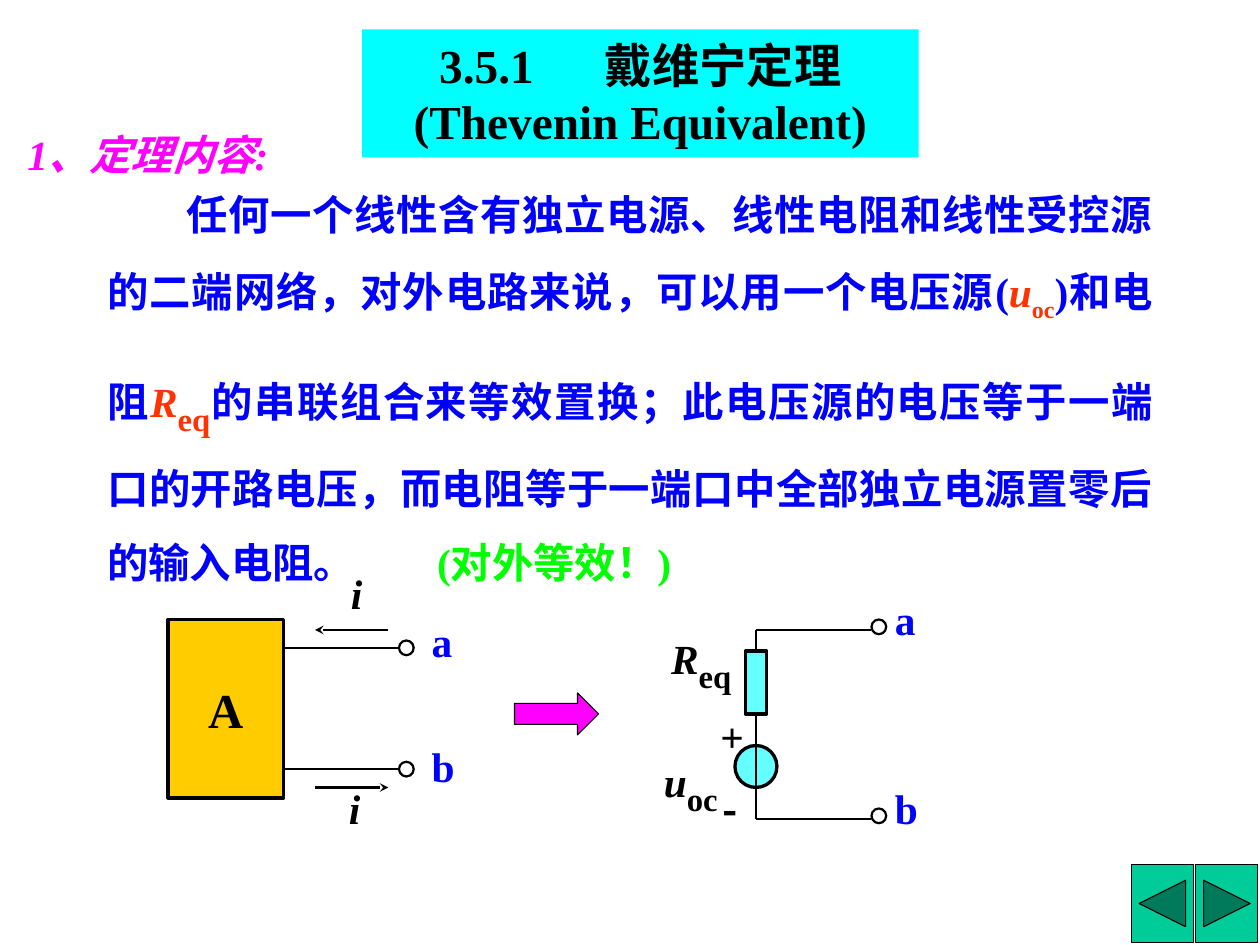
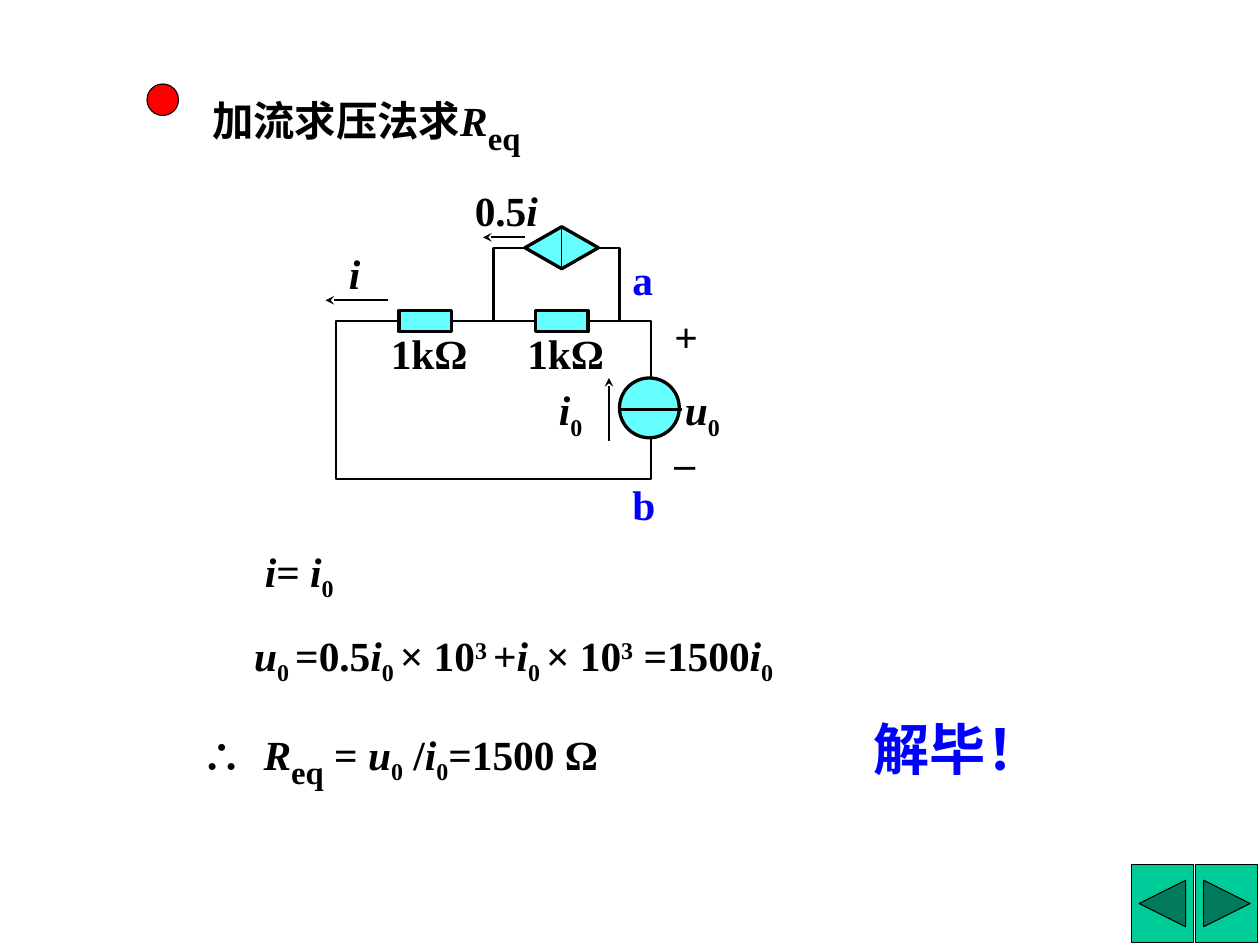
from lxml.etree import SubElement
from pptx import Presentation
from pptx.dml.color import RGBColor
from pptx.enum.shapes import MSO_CONNECTOR, MSO_SHAPE as SHAPE
from pptx.enum.text import MSO_ANCHOR as ANCHOR, MSO_AUTO_SIZE, PP_ALIGN as ALIGN
from pptx.oxml.ns import qn
from pptx.util import Inches, Pt

WIDTH, HEIGHT = 11.84, 8.88
COLUMNS, ROWS = 120, 90
LATIN, CHINESE = "Times New Roman", "Noto Sans CJK SC"
BLACK, BLUE, RED, GREEN = "000000", "0000FF", "FF3300", "00FF00"
MAGENTA, CYAN, AQUA, GOLD = "FF00FF", "00FFFF", "66FFFF", "FFCC00"
TEAL, DOT_RED = "00CC99", "FF0000"
THIN, WIRE, THICK = 0.75, 1.5, 2.25


def color(hex_code):
    return RGBColor.from_string(hex_code)


def col(n):
    return Inches(WIDTH * n / COLUMNS)


def row(n):
    return Inches(HEIGHT * n / ROWS)


def box(x, y, w, h):
    return col(x), row(y), col(w), row(h)


# Pieces of formulas: each is a (text, format) pair
def var(name, **style):
    return name, dict(italic=True, **style)


def sub(text, **style):
    return text, dict(base=-25, **style)


def sup(text):
    return text, dict(base=30)


def gap(points):
    return " ", dict(spacing=points)


EQ = sub("eq", size=38)


def add_run(paragraph, text, size=28, ink=BLACK, italic=False, base=0,
            spacing=0, latin=LATIN):
    run = paragraph.add_run()
    run.text = text
    font = run.font
    font.size, font.bold, font.italic = Pt(size), True, italic
    font.name = latin
    font.color.rgb = color(ink)
    props = run._r.get_or_add_rPr()
    SubElement(props, qn("a:ea")).set("typeface", CHINESE)
    if base:
        props.set("baseline", str(base * 1000))
    if spacing:
        props.set("spc", str(spacing * 100))


def write(frame, *pieces, align=ALIGN.LEFT, anchor=ANCHOR.TOP, leading=1.0,
          indent=0, **style):
    frame.word_wrap = True
    frame.auto_size = MSO_AUTO_SIZE.NONE
    frame.vertical_anchor = anchor
    frame.margin_left = frame.margin_right = Inches(0.12)
    frame.margin_top = frame.margin_bottom = Inches(0.06)
    paragraph = frame.paragraphs[0]
    paragraph.alignment = align
    paragraph.line_spacing = leading
    paragraph.space_before = Pt(0)
    if indent:
        paragraph._p.get_or_add_pPr().set("indent", str(col(indent)))
    for piece in pieces:
        text, own = (piece, {}) if isinstance(piece, str) else piece
        add_run(paragraph, text, **{**style, **own})


class Deck:
    def __init__(self):
        self.show = Presentation()
        self.show.slide_width = Inches(WIDTH)
        self.show.slide_height = Inches(HEIGHT)
        self.slide = None

    def new_slide(self, *title, at, fill=None, **style):
        self.slide = self.show.slides.add_slide(self.show.slide_layouts[5])
        heading = self.slide.shapes.title
        heading.left, heading.top, heading.width, heading.height = box(*at)
        if fill:
            heading.fill.solid()
            heading.fill.fore_color.rgb = color(fill)
        write(heading.text_frame, *title, **style)
        # Navigation buttons in the lower right corner
        for x, kind in ((107.75, SHAPE.ACTION_BUTTON_BACK_OR_PREVIOUS),
                        (113.9, SHAPE.ACTION_BUTTON_FORWARD_OR_NEXT)):
            self.shape(kind, x, 82.3, 5.9, 7.5, TEAL, THIN)

    def shape(self, kind, x, y, w, h, fill=None, weight=THICK):
        part = self.slide.shapes.add_shape(kind, *box(x, y, w, h))
        part.shadow.inherit = False
        if fill:
            part.fill.solid()
            part.fill.fore_color.rgb = color(fill)
        else:
            part.fill.background()
        part.line.color.rgb = color(BLACK)
        part.line.width = Pt(weight)
        return part

    def terminal(self, x, y):
        self.shape(SHAPE.OVAL, x, y, 1.4, 1.4, weight=WIRE)

    def text(self, x, y, *pieces, w=11, h=6, **style):
        area = self.slide.shapes.add_textbox(*box(x, y, w, h))
        write(area.text_frame, *pieces, **style)

    def line(self, x1, y1, x2, y2, weight=WIRE, arrow=False, begin=None, end=None):
        wire = self.slide.shapes.add_connector(
            MSO_CONNECTOR.STRAIGHT, col(x1), row(y1), col(x2), row(y2))
        wire.line.color.rgb = color(BLACK)
        wire.line.width = Pt(weight)
        if arrow:
            SubElement(wire.line._get_or_add_ln(), qn("a:tailEnd")).set("type", "stealth")
        SubElement(wire._element.spPr, qn("a:effectLst"))
        if begin:
            wire.begin_connect(*begin)
        if end:
            wire.end_connect(*end)


def theorem_slide(deck):
    deck.new_slide("3.5.1", gap(40), "戴维宁定理(Thevenin Equivalent)",
                   at=(34.5, 2.8, 53, 12.2), fill=CYAN, size=32, align=ALIGN.CENTER)

    # Statement of the theorem
    deck.text(1.4, 11.65, "1、定理内容:", w=33, ink=MAGENTA, italic=True)
    deck.text(
        9, 15,
        "任何一个线性含有独立电源、线性电阻和线性受控源的二端网络，"
        "对外电路来说，可以用一个电压源(",
        var("u", ink=RED), sub("oc", ink=RED), ")和电阻",
        var("R", ink=RED), sub("eq", size=38, ink=RED),
        "的串联组合来等效置换；此电压源的电压等于一端口的开路电压，"
        "而电阻等于一端口中全部独立电源置零后的输入电阻。",
        gap(49), ("(对外等效！)", dict(ink=GREEN)),
        w=102, h=36.7, ink=BLUE, align=ALIGN.JUSTIFY, leading=1.5, indent=7.5)

    # Two-terminal network A
    network = deck.shape(SHAPE.RECTANGLE, 16, 59, 11, 17, GOLD)
    write(network.text_frame, "A", size=33, align=ALIGN.CENTER, anchor=ANCHOR.MIDDLE)
    for name, wire_y, label_y in (("a", 61.7, 58.1), ("b", 73.25, 70)):
        deck.line(27, wire_y, 38, wire_y)
        deck.terminal(38, wire_y - 0.7)
        deck.text(39.9, label_y, name, ink=BLUE)
    deck.line(37, 60, 30, 60, arrow=True)
    deck.line(30, 75, 37, 75, arrow=True)
    deck.text(32.2, 53.5, var("i"))
    deck.text(32, 74, var("i"))

    deck.shape(SHAPE.RIGHT_ARROW, 49, 66, 8, 4, MAGENTA, THIN)

    # Equivalent circuit
    resistor = deck.shape(SHAPE.RECTANGLE, 71, 62, 2, 6, AQUA)
    deck.shape(SHAPE.OVAL, 70, 71, 4, 4, AQUA)
    deck.line(72, 60, 72, 62, end=(resistor, 0))
    deck.line(72, 68, 72, 78, begin=(resistor, 2))
    for name, wire_y in (("a", 60), ("b", 78)):
        deck.line(72, wire_y, 83, wire_y)
        deck.terminal(83, wire_y - 1)
        deck.text(84, wire_y - 4, name, ink=BLUE)
    deck.text(62.7, 58.3, var("R"), EQ, h=7.6)
    deck.text(62, 70, var("u"), sub("oc", size=38), h=7.6)
    deck.text(67.4, 67.1, "+")
    deck.text(67.6, 74.1, "-", latin=CHINESE)


def resistance_slide(deck):
    deck.new_slide("加流求压法求", var("R"), EQ, at=(19, 7, 35, 6))
    deck.shape(SHAPE.OVAL, 14, 8, 3, 3, DOT_RED, THIN)

    # Wire loops and resistors
    deck.shape(SHAPE.RECTANGLE, 47, 23.6, 12, 7, weight=WIRE)
    deck.shape(SHAPE.RECTANGLE, 32, 30.6, 30, 15, weight=WIRE)
    deck.line(32, 35.6, 32, 41.6)
    for x in (38, 51):
        deck.shape(SHAPE.RECTANGLE, x, 29.6, 5, 2, AQUA)
        deck.text(x - 2, 30.6, "1kΩ")

    # Controlled source and test source
    controlled = deck.shape(SHAPE.DIAMOND, 50, 21.6, 7, 4, AQUA)
    deck.line(53.5, 21.6, 53.5, 25.6, THIN, begin=(controlled, 0), end=(controlled, 2))
    deck.shape(SHAPE.OVAL, 59, 36, 5.7, 5.7, AQUA)
    deck.line(59, 39, 65, 39)

    # Current arrows
    for ends in ((50, 22.6, 46, 22.6), (37, 28.6, 31, 28.6), (58, 42, 58, 36)):
        deck.line(*ends, arrow=True)

    # Circuit labels
    deck.text(44, 17, "0.5", var("i"))
    deck.text(32, 23, var("i"))
    deck.text(52, 36, var("i"), sub("0"))
    deck.text(64, 36, var("u"), sub("0"))
    deck.text(63, 29, "+")
    deck.text(63, 41, "–")
    deck.text(59, 23.6, "a", ink=BLUE)
    deck.text(59, 45, "b", ink=BLUE)

    # Derivation
    deck.text(24, 51.4, var("i"), "= ", var("i"), sub("0"), w=12)
    deck.text(23, 59.4, var("u"), sub("0 "), "=0.5", var("i"), sub("0 "), "× 10",
              sup("3 "), "+", var("i"), sub("0 "), "× 10", sup("3"), " =1500",
              var("i"), sub("0"), w=59)
    deck.text(18, 67.4, "∴", gap(7), var("R"), EQ, " = ", var("u"), sub("0"),
              " /", var("i"), sub("0"), "=1500 Ω", w=44)
    deck.text(82, 67.4, "解毕！", w=22, h=7.6, size=38, ink=BLUE, anchor=ANCHOR.MIDDLE)


def main():
    deck = Deck()
    theorem_slide(deck)
    resistance_slide(deck)
    deck.show.save("out.pptx")


if __name__ == "__main__":
    main()
